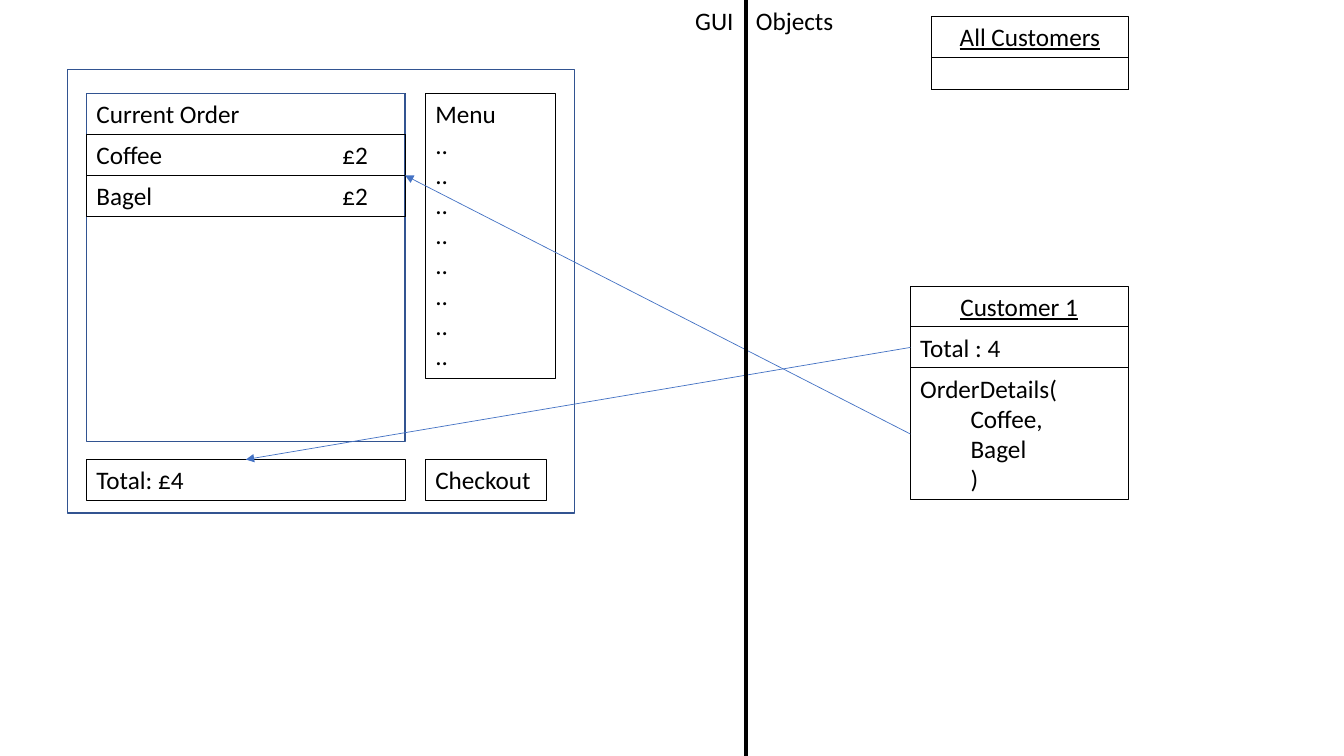
from lxml import etree
from pptx import Presentation
from pptx.dml.color import RGBColor
from pptx.enum.shapes import MSO_CONNECTOR, MSO_SHAPE
from pptx.enum.text import MSO_AUTO_SIZE, PP_ALIGN
from pptx.oxml.ns import qn
from pptx.util import Cm, Pt

RECTANGLE = MSO_SHAPE.RECTANGLE
STRAIGHT = MSO_CONNECTOR.STRAIGHT
GROW = MSO_AUTO_SIZE.SHAPE_TO_FIT_TEXT
LEFT, CENTER = PP_ALIGN.LEFT, PP_ALIGN.CENTER
BLACK = RGBColor(0x00, 0x00, 0x00)
BLUE = RGBColor(0x44, 0x72, 0xC4)
NAVY = RGBColor(0x32, 0x54, 0x91)
TOP_SIDE, LEFT_SIDE = 0, 1

MENU = ["Menu"] + [".."] * 8
ORDER_ITEMS = [("Coffee", "£2"), ("Bagel", "£2")]
ORDER_DETAILS = ["OrderDetails(", "\tCoffee,", "\tBagel", "\t)"]

PAGE_WIDTH, PAGE_HEIGHT = 33.87, 19.05
ROW = 1.03
WINDOW = (1.7, 1.75, 12.78, 11.18)
ORDER_X, ORDER_Y, ORDER_WIDTH, ORDER_HEIGHT = 2.18, 2.36, 8.03, 8.76
MENU_X, MENU_WIDTH, MENU_HEIGHT = 10.72, 3.28, 7.19
PRICE_WIDTH = 1.83
FOOTER_Y, CHECKOUT_WIDTH = 11.58, 3.05
CUSTOMER_X, CUSTOMER_Y, CUSTOMER_WIDTH = 22.94, 7.21, 5.49
DETAILS_HEIGHT = 3.33
ALL_X, ALL_Y, ALL_WIDTH, ALL_BOTTOM = 23.47, 0.41, 4.97, 2.24
DIVIDER_X = 18.8
GUI_X, GUI_WIDTH, OBJECTS_WIDTH = 17.27, 1.63, 2.51


def add_text(page, text, x, y, width, height=ROW, outlined=True, align=LEFT, underline=None):
    box = page.shapes.add_textbox(Cm(x), Cm(y), Cm(width), Cm(height))
    if outlined:
        box.line.color.rgb = BLACK
        box.line.width = Pt(0.75)
    frame = box.text_frame
    frame.word_wrap = outlined
    frame.auto_size = GROW
    lines = [text] if isinstance(text, str) else text
    for index, line in enumerate(lines):
        para = frame.add_paragraph() if index else frame.paragraphs[0]
        para.alignment = align
        span = para.add_run()
        span.text = line
        span.font.name = "Calibri"
        span.font.size = Pt(18)
        span.font.color.rgb = BLACK
        span.font.underline = underline
    return box


def add_panel(page, x, y, width, height):
    panel = page.shapes.add_shape(RECTANGLE, Cm(x), Cm(y), Cm(width), Cm(height))
    panel.shadow.inherit = False
    panel.fill.background()
    panel.line.color.rgb = NAVY
    panel.line.width = Pt(1)


def add_line(page, start, end, color=BLACK, width=0.5, arrow=False):
    points = [Cm(value) for value in (*start, *end)]
    line = page.shapes.add_connector(STRAIGHT, *points)
    line.line.color.rgb = color
    line.line.width = Pt(width)
    if arrow:
        etree.SubElement(line.line._get_or_add_ln(), qn("a:tailEnd"), type="triangle")
    etree.SubElement(line._element.spPr, qn("a:effectLst"))
    return line


def add_window(page):
    add_panel(page, *WINDOW)
    add_text(page, MENU, MENU_X, ORDER_Y, MENU_WIDTH, MENU_HEIGHT)
    add_text(page, "Current Order", ORDER_X, ORDER_Y, ORDER_WIDTH)
    add_panel(page, ORDER_X, ORDER_Y, ORDER_WIDTH, ORDER_HEIGHT)
    price_x = ORDER_X + ORDER_WIDTH - PRICE_WIDTH
    for row, (item, price) in enumerate(ORDER_ITEMS, 1):
        y = ORDER_Y + row * ROW
        add_text(page, item, ORDER_X, y, ORDER_WIDTH)
        add_text(page, price, price_x, y, PRICE_WIDTH, outlined=False)
    add_text(page, "Checkout", MENU_X, FOOTER_Y, CHECKOUT_WIDTH)
    return add_text(page, "Total: £4", ORDER_X, FOOTER_Y, ORDER_WIDTH)


def add_customer(page):
    add_text(page, "Customer 1", CUSTOMER_X, CUSTOMER_Y, CUSTOMER_WIDTH,
             align=CENTER, underline=True)
    total = add_text(page, "Total : 4", CUSTOMER_X, CUSTOMER_Y + ROW, CUSTOMER_WIDTH)
    details = add_text(page, ORDER_DETAILS, CUSTOMER_X, CUSTOMER_Y + 2 * ROW,
                       CUSTOMER_WIDTH, DETAILS_HEIGHT)
    return total, details


def add_all_customers(page):
    add_text(page, "All Customers", ALL_X, ALL_Y, ALL_WIDTH, align=CENTER, underline=True)
    right = ALL_X + ALL_WIDTH
    for x in (ALL_X, right):
        add_line(page, (x, ALL_Y + ROW), (x, ALL_BOTTOM))
    add_line(page, (ALL_X, ALL_BOTTOM), (right, ALL_BOTTOM))


def main():
    deck = Presentation()
    deck.slide_width, deck.slide_height = Cm(PAGE_WIDTH), Cm(PAGE_HEIGHT)
    page = deck.slides.add_slide(deck.slide_layouts[6])

    shown_total = add_window(page)
    customer_total, order_details = add_customer(page)

    total_y = CUSTOMER_Y + 1.5 * ROW
    total_arrow = add_line(page, (CUSTOMER_X, total_y),
                           (ORDER_X + ORDER_WIDTH / 2, FOOTER_Y), BLUE, arrow=True)
    total_arrow.begin_connect(customer_total, LEFT_SIDE)
    total_arrow.end_connect(shown_total, TOP_SIDE)

    details_y = CUSTOMER_Y + 2 * ROW + DETAILS_HEIGHT / 2
    items_arrow = add_line(page, (CUSTOMER_X, details_y),
                           (ORDER_X + ORDER_WIDTH, ORDER_Y + 2 * ROW), BLUE, arrow=True)
    items_arrow.begin_connect(order_details, LEFT_SIDE)

    add_all_customers(page)
    add_line(page, (DIVIDER_X, 0), (DIVIDER_X, PAGE_HEIGHT), width=2.25)
    add_text(page, "GUI", GUI_X, 0, GUI_WIDTH, outlined=False)
    add_text(page, "Objects", DIVIDER_X, 0, OBJECTS_WIDTH, outlined=False)
    deck.save("out.pptx")


if __name__ == "__main__":
    main()
